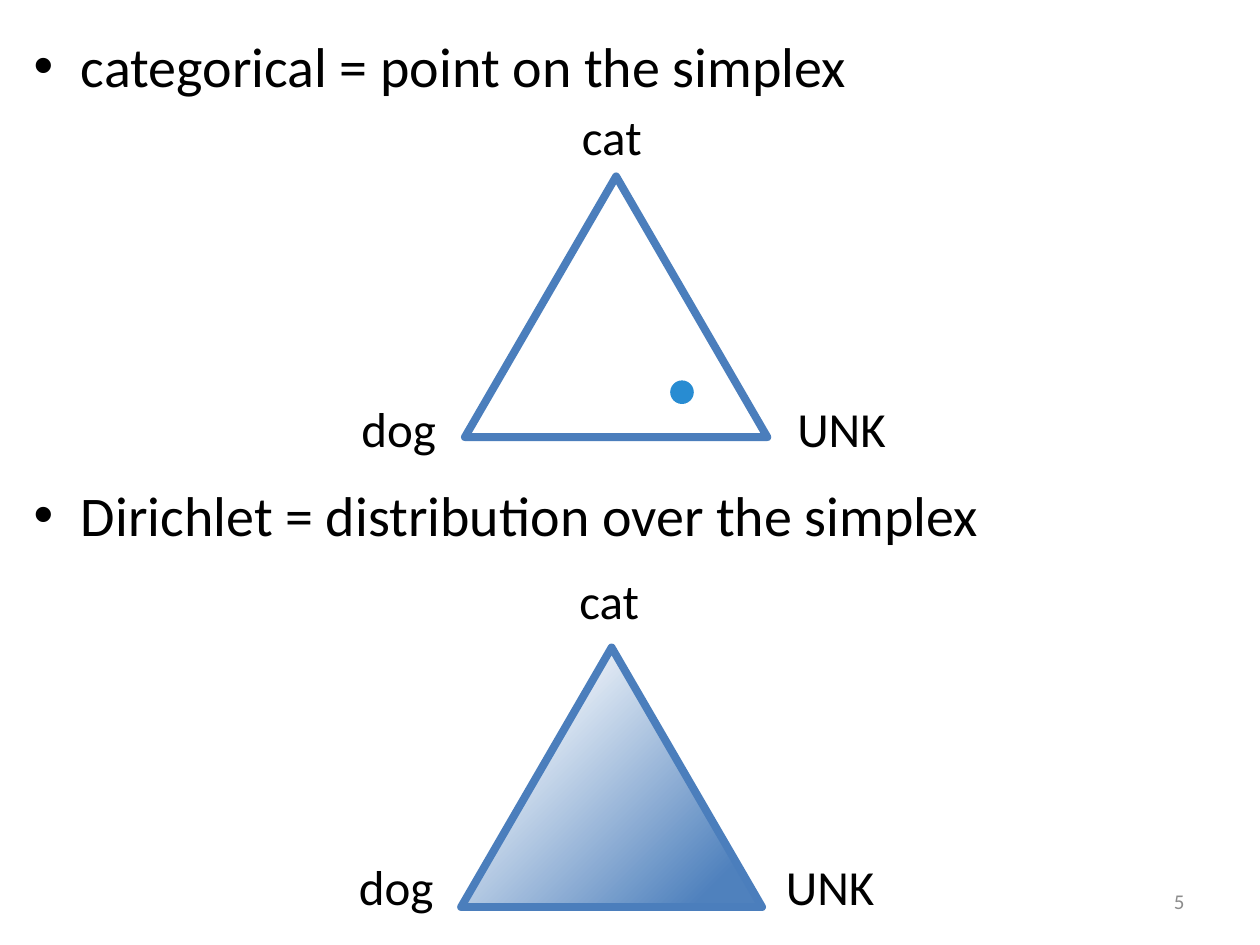
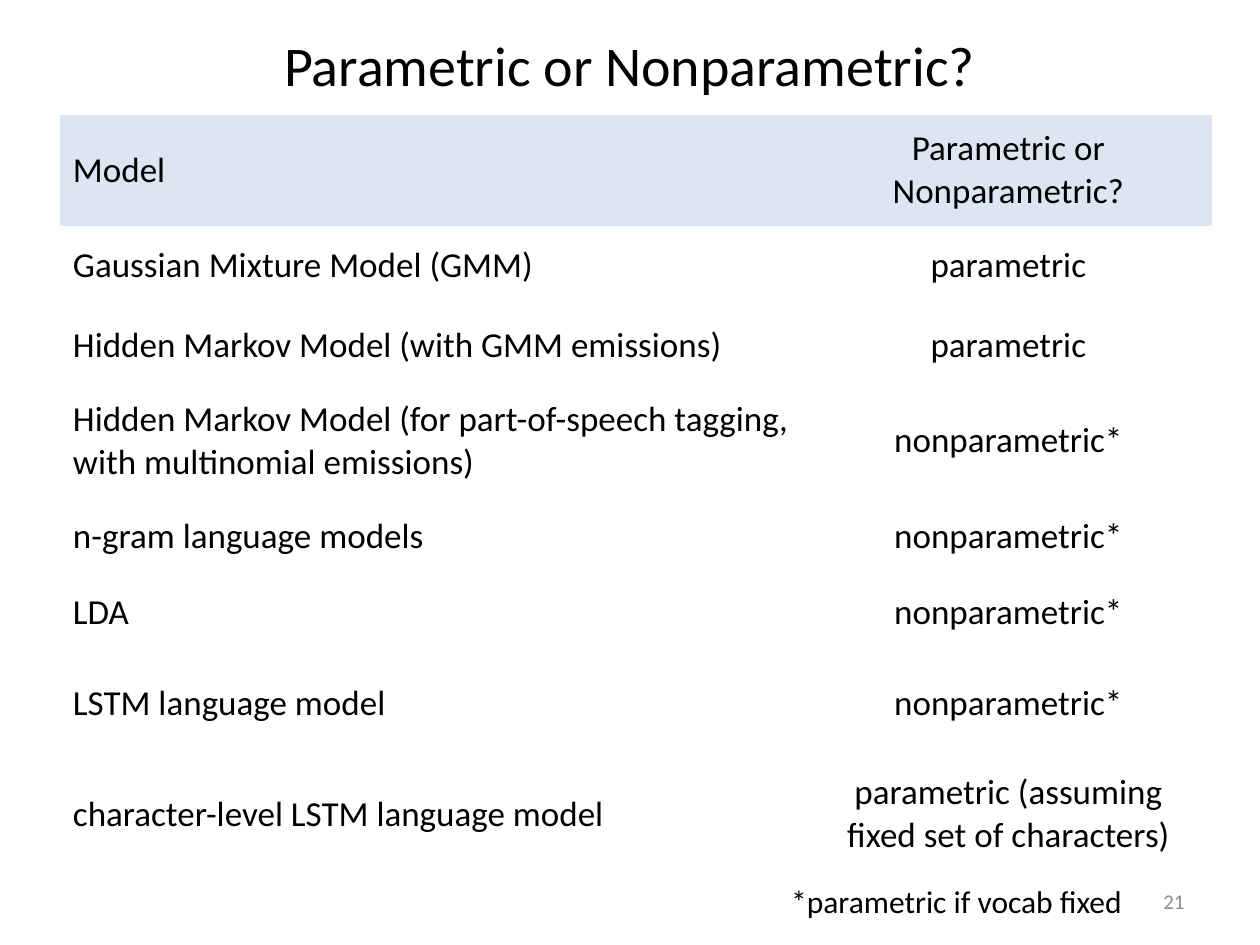
from dataclasses import dataclass
from lxml.etree import SubElement
from pptx import Presentation
from pptx.dml.color import RGBColor
from pptx.enum.shapes import MSO_SHAPE as Preset
from pptx.enum.text import MSO_ANCHOR as Anchor, MSO_AUTO_SIZE as AutoSize, PP_ALIGN as Align
from pptx.oxml.ns import qn
from pptx.util import Pt


@dataclass(frozen=True)
class Theme:
    font: str = "Calibri"
    text: str = "000000"
    muted: str = "8C8C8C"
    outline: str = "4B7EBC"
    dense: str = "4F81BD"
    sparse: str = "FFFFFF"
    point: str = "288CD2"
    header: str = "DCE6F2"
    heading_size: int = 32
    label_size: int = 28
    table_size: int = 20
    note_size: int = 18
    number_size: int = 12


THEME = Theme()
PLAIN_TABLE_STYLE = "{2D5ABB26-0587-4C30-8999-92F81FD0307C}"

BULLETS = ["categorical = point on the simplex", "Dirichlet = distribution over the simplex"]
BULLET_BOX = (12.2, 14.4, 707.8, 468)
BULLET_INDENT = 27
BULLET_GAP = 218

SIMPLEXES = [
    {
        "triangle": (263.5, 370, 172, 148.3),
        "shaded": True,
        "labels": [("cat", 324, 322.5, 50), ("dog", 198, 486, 57.5), ("UNK", 442, 486, 65.5)],
    },
    {
        "triangle": (265.7, 100.8, 172.8, 149),
        "shaded": False,
        "labels": [("cat", 325.5, 57.5, 50), ("dog", 199.5, 224, 57.5), ("UNK", 448.5, 224, 65.5)],
    },
]
LABEL_HEIGHT = 41
POINT_BOX = (383, 217.4, 13.5, 13.5)

TITLE = "Parametric or Nonparametric?"
TITLE_BOX = (36, 13.7, 648, 46)
MODELS = [
    ("Model", "Parametric or Nonparametric?", 63.5),
    ("Gaussian Mixture Model (GMM)", "parametric", 45.6),
    ("Hidden Markov Model (with GMM emissions)", "parametric", 45.6),
    ("Hidden Markov Model (for part-of-speech tagging, with multinomial emissions)", "nonparametric*", 63.5),
    ("n-gram language models", "nonparametric*", 46),
    ("LDA", "nonparametric*", 40.4),
    ("LSTM language model", "nonparametric*", 63.5),
    ("character-level LSTM language model", "parametric (assuming fixed set of characters)", 63.5),
]
TABLE_ORIGIN = (34.5, 65.5)
COLUMN_WIDTHS = (425.5, 232.5)
NOTE = "*parametric if vocab fixed"
NOTE_BOX = (445, 500.4, 206.5, 29)
NUMBER_BOX = (516, 500.4, 168, 28.8)


def points(values):
    return [Pt(value) for value in values]


def color(value):
    return RGBColor.from_string(value)


def write(paragraph, text, size, ink=THEME.text, align=Align.LEFT):
    paragraph.alignment = align
    run = paragraph.add_run()
    run.text = text
    run.font.name = THEME.font
    run.font.size = Pt(size)
    run.font.color.rgb = color(ink)


def add_text(slide, box, text, size, ink=THEME.text, align=Align.LEFT, anchor=Anchor.TOP, wrap=True):
    frame = slide.shapes.add_textbox(*points(box)).text_frame
    frame.word_wrap = wrap
    frame.auto_size = AutoSize.NONE if wrap else AutoSize.SHAPE_TO_FIT_TEXT
    frame.vertical_anchor = anchor
    write(frame.paragraphs[0], text, size, ink, align)


def add_slide(presentation, number):
    slide = presentation.slides.add_slide(presentation.slide_layouts[6])
    add_text(slide, NUMBER_BOX, str(number), THEME.number_size, THEME.muted, Align.RIGHT, Anchor.MIDDLE)
    return slide


def add_bullets(slide):
    frame = slide.shapes.add_textbox(*points(BULLET_BOX)).text_frame
    frame.word_wrap = True
    for index, text in enumerate(BULLETS):
        paragraph = frame.add_paragraph() if index else frame.paragraphs[0]
        if index:
            paragraph.space_before = Pt(BULLET_GAP)
        properties = paragraph._p.get_or_add_pPr()
        properties.set("marL", str(Pt(BULLET_INDENT)))
        properties.set("indent", str(-Pt(BULLET_INDENT)))
        SubElement(properties, qn("a:buFont")).set("typeface", "Arial")
        SubElement(properties, qn("a:buChar")).set("char", "•")
        write(paragraph, text, THEME.heading_size)


def shade_from_corner(fill):
    fill.gradient()
    for stop, position, ink in zip(fill.gradient_stops, (0.12, 0.85), (THEME.dense, THEME.sparse)):
        stop.position = position
        stop.color.rgb = color(ink)


def add_simplex(slide, simplex):
    triangle = slide.shapes.add_shape(Preset.ISOSCELES_TRIANGLE, *points(simplex["triangle"]))
    triangle.shadow.inherit = False
    triangle.line.color.rgb = color(THEME.outline)
    triangle.line.width = Pt(4.5)
    if simplex["shaded"]:
        shade_from_corner(triangle.fill)
        gradient = triangle._element.spPr.find(qn("a:gradFill"))
        gradient.remove(gradient.find(qn("a:lin")))
        circle = SubElement(gradient, qn("a:path"))
        circle.set("path", "circle")
        corner = SubElement(circle, qn("a:fillToRect"))
        corner.set("l", "100000")
        corner.set("t", "100000")
    else:
        triangle.fill.background()
    for text, left, top, width in simplex["labels"]:
        add_text(slide, (left, top, width, LABEL_HEIGHT), text, THEME.label_size, wrap=False)


def add_point(slide):
    point = slide.shapes.add_shape(Preset.OVAL, *points(POINT_BOX))
    point.shadow.inherit = False
    point.fill.solid()
    point.fill.fore_color.rgb = color(THEME.point)
    point.line.fill.background()


def add_models(slide):
    size = (sum(COLUMN_WIDTHS), sum(height for _, _, height in MODELS))
    frame = slide.shapes.add_table(len(MODELS), len(COLUMN_WIDTHS), *points(TABLE_ORIGIN + size))
    table = frame.table
    table.first_row = table.horz_banding = False
    table._tbl.tblPr.find(qn("a:tableStyleId")).text = PLAIN_TABLE_STYLE
    for column, width in zip(table.columns, COLUMN_WIDTHS):
        column.width = Pt(width)
    for index, (model, answer, height) in enumerate(MODELS):
        row = table.rows[index]
        row.height = Pt(height)
        for cell, text, align in zip(row.cells, (model, answer), (Align.LEFT, Align.CENTER)):
            cell.vertical_anchor = Anchor.MIDDLE
            if index:
                cell.fill.background()
            else:
                cell.fill.solid()
                cell.fill.fore_color.rgb = color(THEME.header)
            write(cell.text_frame.paragraphs[0], text, THEME.table_size, align=align)


def main():
    presentation = Presentation()
    presentation.slide_width, presentation.slide_height = points((720, 540))

    slide = add_slide(presentation, 5)
    add_bullets(slide)
    for simplex in SIMPLEXES:
        add_simplex(slide, simplex)
    add_point(slide)

    slide = add_slide(presentation, 21)
    add_text(slide, TITLE_BOX, TITLE, THEME.heading_size, align=Align.CENTER, anchor=Anchor.MIDDLE)
    add_models(slide)
    add_text(slide, NOTE_BOX, NOTE, THEME.note_size, wrap=False)

    presentation.save("out.pptx")


if __name__ == "__main__":
    main()
